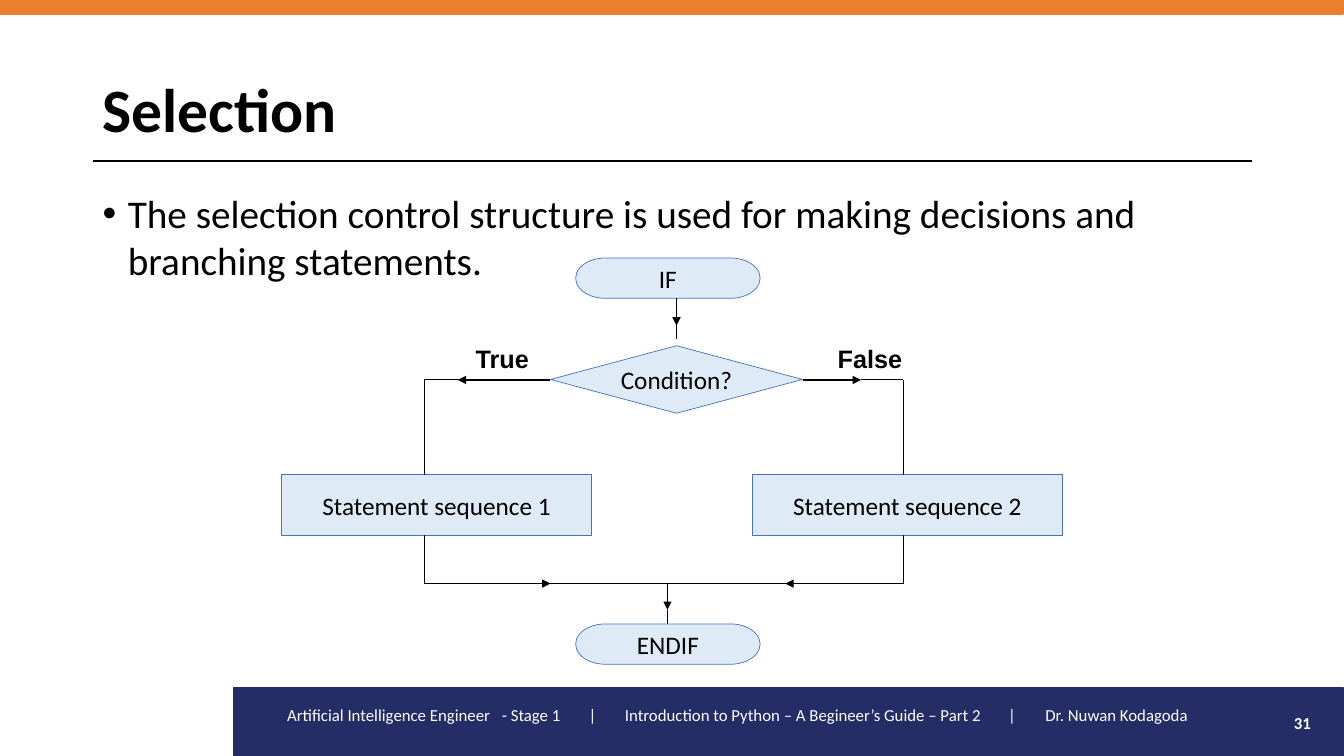
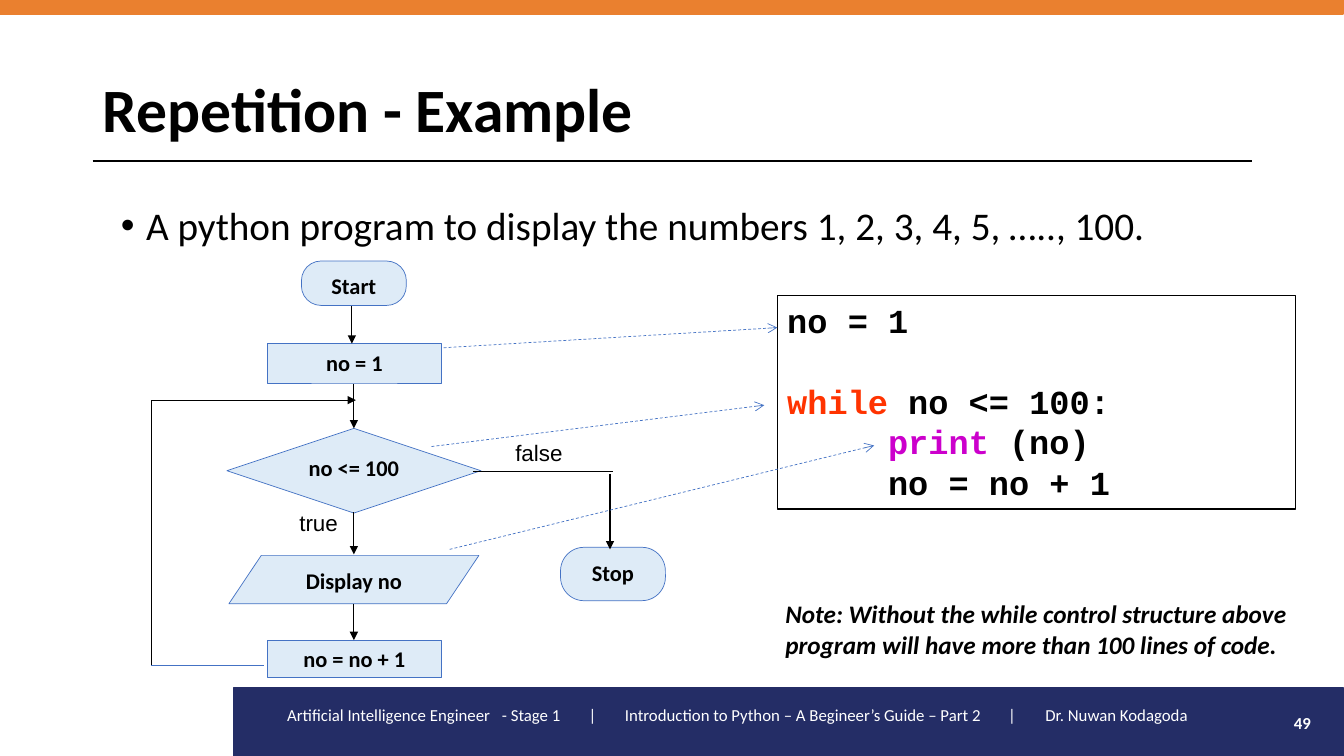
from dataclasses import dataclass

from lxml import etree
from pptx import Presentation
from pptx.dml.color import RGBColor
from pptx.enum import dml, shapes, text
from pptx.oxml.ns import qn
from pptx.util import Inches, Pt

BLACK = RGBColor(0x00, 0x00, 0x00)
WHITE = RGBColor(0xFF, 0xFF, 0xFF)
NAVY = RGBColor(0x24, 0x2D, 0x66)
ORANGE = RGBColor(0xEA, 0x80, 0x2F)
PALE = RGBColor(0xDE, 0xEB, 0xF7)
BLUE = RGBColor(0x44, 0x72, 0xC4)
RED = RGBColor(0xFF, 0x33, 0x00)
PURPLE = RGBColor(0xCC, 0x00, 0xCC)

KIND = shapes.MSO_SHAPE
LEFT, MID, RIGHT = text.PP_ALIGN.LEFT, text.PP_ALIGN.CENTER, text.PP_ALIGN.RIGHT
TOP, CENTER = text.MSO_ANCHOR.TOP, text.MSO_ANCHOR.MIDDLE

FOOTER = ("Artificial Intelligence Engineer\t- Stage 1\t|\t"
          "Introduction to Python – A Begineer’s Guide – Part 2\t|\tDr. Nuwan Kodagoda")
STOPS = (2.13, 2.99, 3.35, 7.15, 7.52)


@dataclass
class Node:
    kind: int
    label: str
    x: float
    y: float
    w: float
    h: float
    adj: float | None = None


@dataclass
class Link:
    x1: float
    y1: float
    x2: float
    y2: float
    head: str = ""
    width: float = 0.75
    color: RGBColor = BLACK
    dash: bool = False
    bend: bool = False


def write(shape, *lines, size=18, font="Calibri", color=BLACK, bold=False, italic=False,
          align=LEFT, anchor=TOP, wrap=True, space=None, gaps=(), bullet=False, stops=()):
    """Fill a shape with lines; a line is a string or a list of (text, color) runs."""
    frame = shape.text_frame
    frame.word_wrap, frame.vertical_anchor = wrap, anchor
    for i, line in enumerate(lines):
        para = frame.paragraphs[0] if i == 0 else frame.add_paragraph()
        props = para._p.get_or_add_pPr()
        if bullet:
            props.set("marL", str(Inches(0.25)))
            props.set("indent", str(Inches(-0.25)))
            etree.SubElement(props, qn("a:buFont"), typeface="Arial")
            etree.SubElement(props, qn("a:buChar"), char="•")
        if stops:
            tabs = etree.SubElement(props, qn("a:tabLst"))
            for stop in stops:
                etree.SubElement(tabs, qn("a:tab"), pos=str(Inches(stop)), algn="l")
        para.alignment = align
        if space:
            para.line_spacing = space
        if i < len(gaps) and gaps[i]:
            para.space_before = Pt(gaps[i])
        for words, tint in [(line, color)] if isinstance(line, str) else line:
            run = para.add_run()
            run.text = words
            run.font.name, run.font.size = font, Pt(size)
            run.font.bold, run.font.italic = bold, italic
            run.font.color.rgb = tint


def add_text(slide, x: float, y: float, w: float, h: float, *lines, **style):
    box = slide.shapes.add_textbox(Inches(x), Inches(y), Inches(w), Inches(h))
    write(box, *lines, **style)


def add_box(slide, node: Node, fill=PALE, line=BLUE, width=0.5, **style):
    shape = slide.shapes.add_shape(node.kind, Inches(node.x), Inches(node.y),
                                   Inches(node.w), Inches(node.h))
    shape.shadow.inherit = False
    if node.adj is not None:
        shape.adjustments[0] = node.adj
    if fill is None:
        shape.fill.background()
    else:
        shape.fill.solid()
        shape.fill.fore_color.rgb = fill
    if line is None:
        shape.line.fill.background()
    else:
        shape.line.color.rgb = line
        shape.line.width = Pt(width)
    if node.label:
        write(shape, node.label, **style)
    return shape


def add_link(slide, link: Link):
    kind = shapes.MSO_CONNECTOR.ELBOW if link.bend else shapes.MSO_CONNECTOR.STRAIGHT
    wire = slide.shapes.add_connector(kind, Inches(link.x1), Inches(link.y1),
                                      Inches(link.x2), Inches(link.y2))
    wire.line.color.rgb = link.color
    wire.line.width = Pt(link.width)
    if link.dash:
        wire.line.dash_style = dml.MSO_LINE.DASH
    props = wire._element.spPr
    if link.head:
        etree.SubElement(props.find(qn("a:ln")), qn("a:tailEnd"), type=link.head)
    if link.bend:
        guides = props.find(qn("a:prstGeom")).find(qn("a:avLst"))
        etree.SubElement(guides, qn("a:gd"), name="adj1", fmla="val 0")
    etree.SubElement(props, qn("a:effectLst"))


def add_page(deck, title: str, number: int):
    """Start a slide with the shared bands, title, rule and footer."""
    slide = deck.slides.add_slide(deck.slide_layouts[6])
    for color, *place in ((NAVY, 2.32, 6.82, 11, 0.7), (ORANGE, 0, 0, 13.32, 0.14)):
        add_box(slide, Node(KIND.RECTANGLE, "", *place), fill=color, line=color, width=1)
    add_link(slide, Link(0.92, 1.6, 12.42, 1.6, width=1.5))
    add_text(slide, 2.75, 6.94, 9.5, 0.4, FOOTER, size=12, color=WHITE, stops=STOPS)
    add_text(slide, 0.92, 0.39, 11.5, 1.45, title, size=44, bold=True, anchor=CENTER, space=0.9)
    add_text(slide, 12.42, 6.97, 0.68, 0.4, str(number), size=12, color=WHITE, bold=True,
             align=RIGHT, anchor=CENTER)
    return slide


def add_choice(deck):
    slide = add_page(deck, "Selection", 31)
    add_text(slide, 0.92, 1.83, 11.5, 4.76,
             "The selection control structure is used for making decisions and "
             "branching statements.", size=28, bullet=True)
    for node in (
        Node(KIND.FLOWCHART_TERMINATOR, "IF", 5.71, 2.56, 1.83, 0.4),
        Node(KIND.FLOWCHART_DECISION, "Condition?", 5.46, 3.43, 2.5, 0.67),
        Node(KIND.FLOWCHART_PROCESS, "Statement sequence 1", 2.79, 4.71, 3.08, 0.6),
        Node(KIND.FLOWCHART_PROCESS, "Statement sequence 2", 7.46, 4.71, 3.08, 0.6),
        Node(KIND.FLOWCHART_TERMINATOR, "ENDIF", 5.71, 6.19, 1.83, 0.4),
    ):
        add_box(slide, node, align=MID, anchor=CENTER, wrap=False)

    fork, join, left, right = 3.77, 5.79, 4.21, 8.96
    for ends in ((6.71, 2.96, 6.71, 3.23), (5.46, fork, 4.54, fork),
                 (7.96, fork, 8.54, fork), (left, join, 5.46, join),
                 (right, join, 7.79, join), (6.62, join, 6.62, 6.05)):
        add_link(slide, Link(*ends, head="triangle", width=1))
    for ends in ((6.71, 3.16, 6.71, 3.36), (4.62, fork, left, fork),
                 (8.54, fork, right, fork), (5.46, join, 7.88, join),
                 (6.62, 6.05, 6.62, 6.19)):
        add_link(slide, Link(*ends))
    for x in (left, right):
        add_link(slide, Link(x, fork, x, 4.71))
        add_link(slide, Link(x, 5.31, x, join))
    for label, x, w in (("True", 4.62, 0.73), ("False", 8.21, 0.85)):
        add_text(slide, x, 3.36, w, 0.4, label, font="Arial", bold=True, wrap=False)


def add_loop(deck):
    slide = add_page(deck, "Repetition - Example", 49)
    add_text(slide, 1.1, 2, 11.31, 4.76,
             "A python program to display the numbers 1, 2, 3, 4, 5, ….., 100.",
             size=28, bullet=True, space=0.9)
    code = add_box(slide, Node(KIND.RECTANGLE, "", 7.71, 2.93, 5.14, 2.12),
                   fill=None, line=BLACK, width=1)
    write(code, "no = 1",
          [("while ", RED), ("no <= 100:", BLACK)],
          [("\t", BLACK), ("print", PURPLE), (" (no)", BLACK)],
          "\tno = no + 1",
          size=24, font="Courier New", bold=True, gaps=(0, 28.8), stops=(1,))
    for node in (
        Node(KIND.ROUNDED_RECTANGLE, "Start", 2.99, 2.59, 1.04, 0.44, 0.44),
        Node(KIND.ROUNDED_RECTANGLE, "Stop", 5.56, 5.43, 1.04, 0.53, 0.44),
        Node(KIND.RECTANGLE, "no = 1", 2.65, 3.41, 1.73, 0.39),
        Node(KIND.DIAMOND, "no <= 100", 2.25, 4.25, 2.52, 0.84),
        Node(KIND.PARALLELOGRAM, "Display no", 2.27, 5.51, 2.48, 0.48, 0.67),
        Node(KIND.RECTANGLE, "no = no + 1", 2.65, 6.35, 1.73, 0.37),
    ):
        add_box(slide, node, size=16, bold=True, align=MID)

    add_box(slide, Node(KIND.RECTANGLE, "false", 4.83, 4.31, 1.03, 0.37),
            fill=WHITE, line=None, size=16, font="Arial", align=MID)
    add_text(slide, 2.64, 5, 1.04, 0.37, "true", size=16, font="Arial", align=MID)
    stem = 3.51
    for ends in ((3.49, 3.04, 3.49, 3.41), (stem, 3.81, stem, 4.25),
                 (stem, 5.08, stem, 5.5), (stem, 5.99, stem, 6.35),
                 (6.05, 4.7, 6.05, 5.45)):
        add_link(slide, Link(*ends, head="triangle"))
    add_link(slide, Link(4.69, 4.68, 6.08, 4.68))
    add_link(slide, Link(1.5, 6.6, 3.53, 3.97, head="triangle", width=0.5, bend=True))
    add_text(slide, 7.69, 5.89, 5.25, 0.71,
             "Note: Without the while control structure above program will have "
             "more than 100 lines of code.", bold=True, italic=True)
    add_link(slide, Link(1.5, 6.6, 2.62, 6.6, width=0.5, color=BLUE))
    for ends in ((4.4, 3.45, 7.71, 3.25), (4.28, 4.43, 7.58, 4.02), (4.46, 5.45, 8.67, 4.42)):
        add_link(slide, Link(*ends, head="arrow", width=0.5, color=BLUE, dash=True))


def main():
    deck = Presentation()
    deck.slide_width, deck.slide_height = Inches(13.33), Inches(7.5)
    add_choice(deck)
    add_loop(deck)
    deck.save("out.pptx")


if __name__ == "__main__":
    main()
